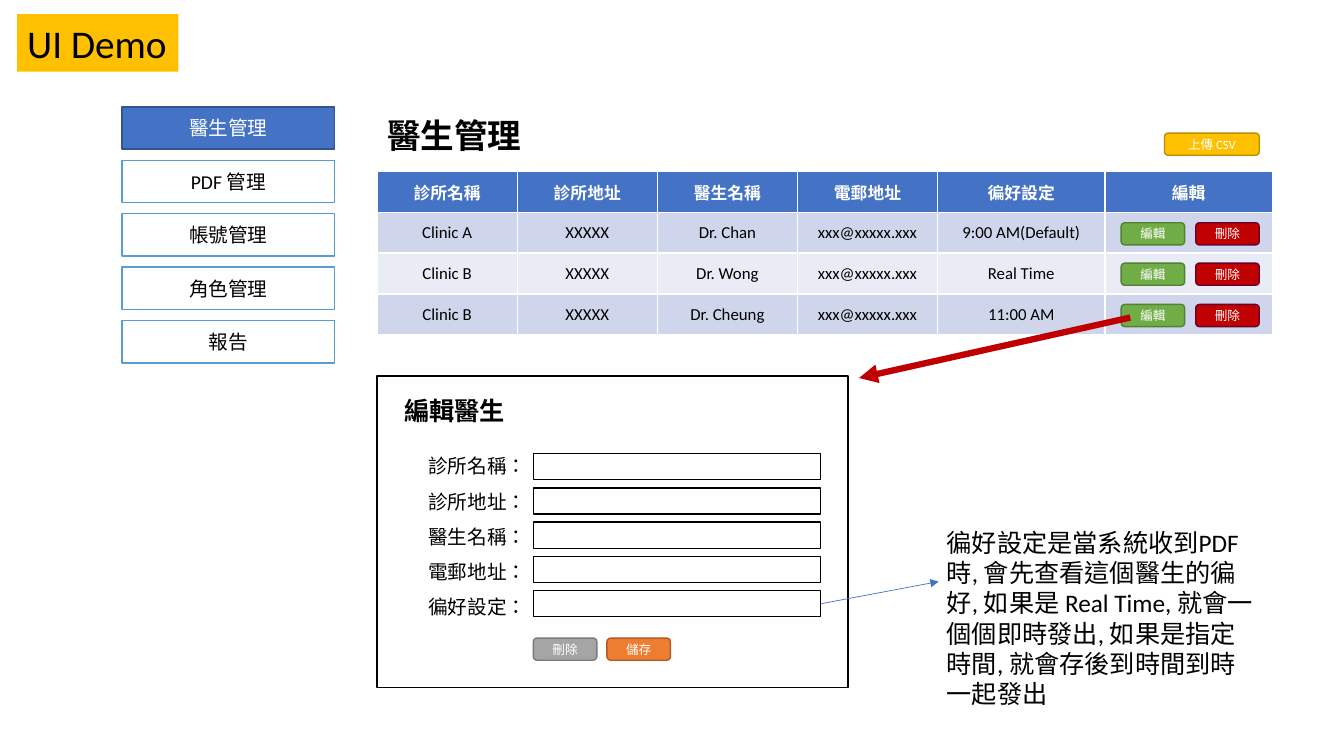
from lxml.etree import SubElement
from pptx import Presentation
from pptx.dml.color import RGBColor
from pptx.enum.shapes import MSO_CONNECTOR, MSO_SHAPE
from pptx.enum.text import MSO_ANCHOR, MSO_AUTO_SIZE, PP_ALIGN
from pptx.oxml.ns import qn
from pptx.util import Inches, Pt

COLORS = {
    "black": "000000", "white": "FFFFFF",
    "blue": "4472C4", "blue_edge": "325491", "sky": "5B9BD5",
    "band_dark": "CFD5EA", "band_light": "E9EBF5",
    "green": "70AD47", "green_edge": "538035",
    "red": "C00000", "red_edge": "660033",
    "gold": "FFC000", "gold_edge": "BD8E00",
    "gray": "A5A5A5", "gray_edge": "7A7A7A",
    "orange": "ED7D31", "orange_edge": "AF5C24",
}
COLORS = {name: RGBColor.from_string(value) for name, value in COLORS.items()}


def write(frame, text, size=14, color="black", bold=False, align=PP_ALIGN.LEFT,
          anchor=MSO_ANCHOR.TOP, spacing=None, wrap=True, grow=False):
    """Fill a text frame, one paragraph for each line of text."""
    frame.word_wrap = wrap
    frame.vertical_anchor = anchor
    frame.auto_size = MSO_AUTO_SIZE.SHAPE_TO_FIT_TEXT if grow else MSO_AUTO_SIZE.NONE
    for index, line in enumerate(text.split("\n")):
        para = frame.add_paragraph() if index else frame.paragraphs[0]
        para.alignment = align
        if spacing:
            para.line_spacing = spacing
        span = para.add_run()
        span.text = line
        span.font.size = Pt(size)
        span.font.bold = bold
        span.font.color.rgb = COLORS[color]
        span.font.name = "Calibri"
        properties = span.font._element
        properties.set("lang", "zh-TW")
        SubElement(properties, qn("a:ea"), typeface="Noto Sans CJK SC")


def add_box(left, top, width, height, fill=None, edge="black",
            kind=MSO_SHAPE.RECTANGLE, text="", **style):
    """Draw an outlined box with optional centred text."""
    box = page.shapes.add_shape(kind, Inches(left), Inches(top), Inches(width), Inches(height))
    box.shadow.inherit = False
    if fill:
        box.fill.solid()
        box.fill.fore_color.rgb = COLORS[fill]
    else:
        box.fill.background()
    box.line.color.rgb = COLORS[edge]
    box.line.width = Pt(1)
    if text:
        write(box.text_frame, text, align=PP_ALIGN.CENTER, anchor=MSO_ANCHOR.MIDDLE, **style)
    return box


deck = Presentation()
deck.slide_width, deck.slide_height = Inches(13.33), Inches(7.5)
page = deck.slides.add_slide(deck.slide_layouts[5])

# Title, kept at a fixed height
title = page.shapes.title
title.left, title.top = Inches(0.17), Inches(0.14)
title.width, title.height = Inches(1.6), Inches(0.57)
title.fill.solid()
title.fill.fore_color.rgb = COLORS["gold"]
write(title.text_frame, "UI Demo", size=28, wrap=False)

# Side menu, first entry selected
for index, entry in enumerate(["醫生管理", "PDF 管理", "帳號管理", "角色管理", "報告"]):
    fill, edge, color = ("white", "sky", "black") if index else ("blue", "blue_edge", "white")
    add_box(1.21, 1.06 + 0.53 * index, 2.11, 0.42, fill, edge, text=entry, color=color)

# Doctor table
rows = [
    ["診所名稱", "診所地址", "醫生名稱", "電郵地址", "徧好設定", "編輯"],
    ["Clinic A", "XXXXX", "Dr. Chan", "xxx@xxxxx.xxx", "9:00 AM(Default)", ""],
    ["Clinic B", "XXXXX", "Dr. Wong", "xxx@xxxxx.xxx", "Real Time", ""],
    ["Clinic B", "XXXXX", "Dr. Cheung", "xxx@xxxxx.xxx", "11:00 AM", ""],
]
doctors = page.shapes.add_table(4, 6, Inches(3.74), Inches(1.7), Inches(8.89), Inches(1.62)).table
for index, column in enumerate(doctors.columns):
    column.width = Inches(1.39 if index < 4 else 1.66)
for row_index, row in enumerate(rows):
    header = row_index == 0
    fill = "blue" if header else "band_dark" if row_index % 2 else "band_light"
    for column_index, value in enumerate(row):
        cell = doctors.cell(row_index, column_index)
        cell.fill.solid()
        cell.fill.fore_color.rgb = COLORS[fill]
        cell.vertical_anchor = MSO_ANCHOR.MIDDLE
        if value:
            write(cell.text_frame, value, size=12, color="white" if header else "black",
                  bold=header, align=PP_ALIGN.CENTER, anchor=MSO_ANCHOR.MIDDLE)

# Edit form frame and fields
add_box(3.74, 3.73, 4.67, 3.09)
for index in range(5):
    field = add_box(5.29, 4.5 + 0.34 * index, 2.85, 0.26)

# Buttons: upload, form actions, then one pair for each table row
buttons = [
    (11.55, 1.32, 0.94, "gold", "上傳 CSV"),
    (5.29, 6.33, 0.63, "gray", "刪除"),
    (6.02, 6.33, 0.63, "orange", "儲存"),
]
for top in (2.21, 2.61, 3.02):
    buttons += [(11.12, top, 0.63, "green", "編輯"), (11.86, top, 0.63, "red", "刪除")]
for left, top, width, fill, label in buttons:
    add_box(left, top, width, 0.22, fill, fill + "_edge", MSO_SHAPE.ROUNDED_RECTANGLE,
            text=label, size=9, color="white")

# Headings, field labels and note
labels = "診所名稱：\n診所地址：\n醫生名稱：\n電郵地址：\n徧好設定："
note = ("徧好設定是當系統收到PDF 時, 會先查看這個醫生的徧好, 如果是 Real Time, "
        "就會一個個即時發出, 如果是指定時間, 就會存後到時間到時一起發出")
texts = [
    (3.74, 1.09, 1.55, 0.5, "醫生管理", dict(size=24, bold=True, wrap=False)),
    (3.91, 3.87, 1.21, 0.4, "編輯醫生", dict(size=18, bold=True, wrap=False)),
    (4.14, 4.34, 1.18, 1.83, labels, dict(align=PP_ALIGN.RIGHT, spacing=1.5, wrap=False)),
    (9.29, 5.18, 3.29, 1.92, note, dict(size=18)),
]
for left, top, width, height, text, style in texts:
    box = page.shapes.add_textbox(Inches(left), Inches(top), Inches(width), Inches(height))
    write(box.text_frame, text, grow=True, **style)

# Arrows: edit button to form, last field to note
arrows = [
    (11.21, 3.15, 8.52, 3.75, "red", 4.5, None),
    (8.14, 5.98, 9.31, 5.77, "blue", 0.5, field),
]
for x1, y1, x2, y2, color, weight, source in arrows:
    arrow = page.shapes.add_connector(
        MSO_CONNECTOR.STRAIGHT, Inches(x1), Inches(y1), Inches(x2), Inches(y2))
    if source is not None:
        arrow.begin_connect(source, 3)
    arrow.line.color.rgb = COLORS[color]
    arrow.line.width = Pt(weight)
    properties = arrow.element.spPr
    SubElement(properties.find(qn("a:ln")), qn("a:tailEnd"), type="triangle")
    SubElement(properties, qn("a:effectLst"))

deck.save("out.pptx")
